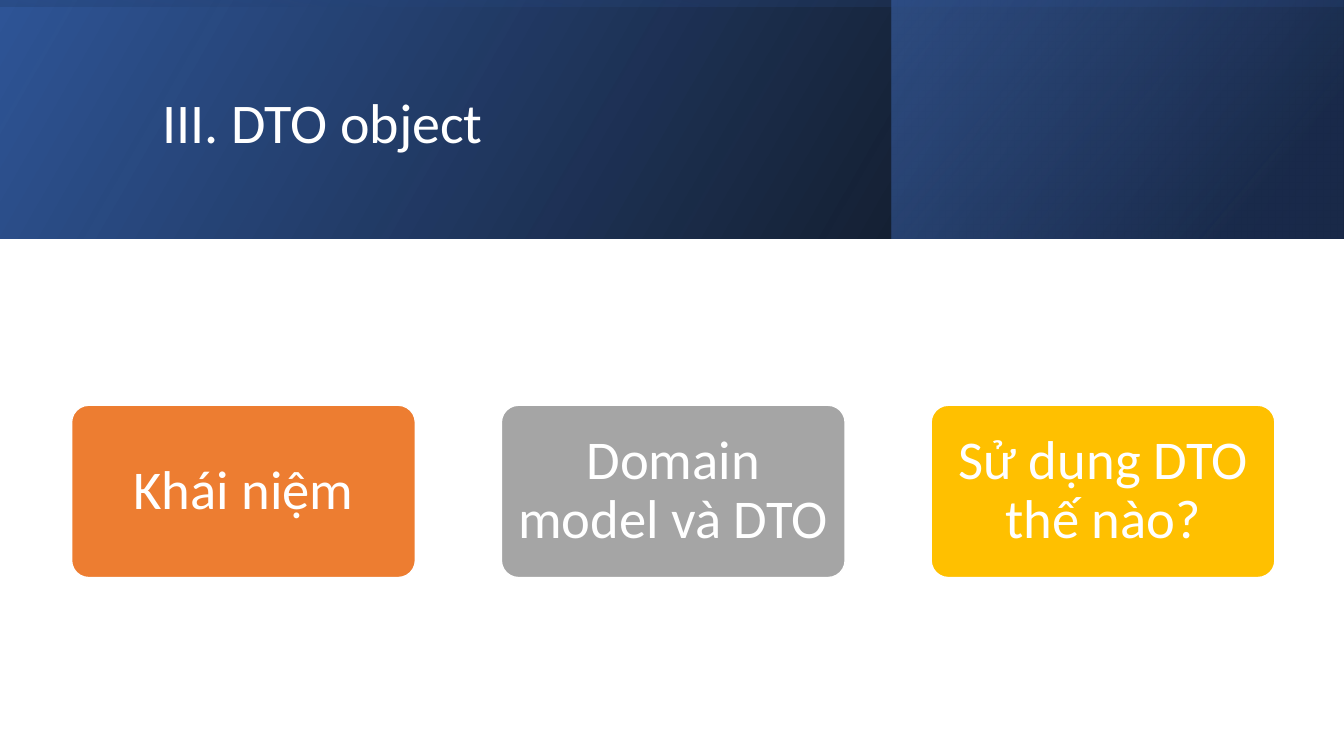
from lxml import etree
from pptx import Presentation
from pptx.dml.color import RGBColor
from pptx.enum import shapes, text
from pptx.oxml import ns
from pptx.util import Inches, Pt

FONT = "Calibri"
WHITE = "FFFFFF"
SLIDE_W, SLIDE_H = 13.33, 7.5
BAND_H = 2.37

TITLE = "III. DTO object"
TOPICS = [
    ("Khái niệm", "ED7D31"),
    ("Domain model và DTO", "A5A5A5"),
    ("Sử dụng DTO thế nào?", "FFC000"),
]
# left, top, width, height, rotation, clockwise gradient angle,
# stops as (position %, colour, opacity %)
BANDS = [
    (0, 0, SLIDE_W, BAND_H, 0, 330,
     [(0, "000000", 96), (100, "2F5597", 100)]),
    (8.84, 0, 4.48, BAND_H, 0, 320,
     [(19, "203864", 68), (100, "4472C4", 48)]),
    ((SLIDE_W - BAND_H) / 2, (BAND_H - SLIDE_W) / 2, BAND_H, SLIDE_W, 270, 350,
     [(23, "2F5597", 16), (99, "000000", 45)]),
]
CARD_LEFT, CARD_TOP, CARD_W, CARD_H = 0.71, 4.02, 3.41, 1.71
CARD_STEP = CARD_W * 1.25


def rgb(hex_colour):
    return RGBColor.from_string(hex_colour)


def write(shape, words, size, align, inset_x, inset_y):
    frame = shape.text_frame
    frame.word_wrap = True
    frame.vertical_anchor = text.MSO_ANCHOR.MIDDLE
    frame.margin_left = frame.margin_right = Inches(inset_x)
    frame.margin_top = frame.margin_bottom = Inches(inset_y)
    line = frame.paragraphs[0]
    line.alignment = align
    line.line_spacing = 0.9
    run = line.add_run()
    run.text = words
    run.font.name = FONT
    run.font.size = Pt(size)
    run.font.color.rgb = rgb(WHITE)


def add_band(slide, left, top, width, height, rotation, angle, stops):
    band = slide.shapes.add_shape(
        shapes.MSO_SHAPE.RECTANGLE,
        Inches(left), Inches(top), Inches(width), Inches(height))
    band.shadow.inherit = False
    band.line.fill.background()
    band.rotation = rotation
    band._element.spPr.find(ns.qn("a:xfrm")).set("flipH", "1")
    band.fill.gradient()
    band.fill.gradient_angle = 360 - angle
    for stop, (position, colour, _) in zip(band.fill.gradient_stops, stops):
        stop.position = position / 100
        stop.color.rgb = rgb(colour)
    # Opacity of each gradient stop
    colours = band._element.spPr.findall(".//" + ns.qn("a:gs") + "/" + ns.qn("a:srgbClr"))
    for colour, (_, _, opacity) in zip(colours, stops):
        if opacity < 100:
            etree.SubElement(colour, ns.qn("a:alpha")).set("val", str(opacity * 1000))


def add_card(slide, index, topic, colour):
    card = slide.shapes.add_shape(
        shapes.MSO_SHAPE.ROUNDED_RECTANGLE,
        Inches(CARD_LEFT + index * CARD_STEP), Inches(CARD_TOP),
        Inches(CARD_W), Inches(CARD_H))
    card.shadow.inherit = False
    card.adjustments[0] = 0.1
    card.fill.solid()
    card.fill.fore_color.rgb = rgb(colour)
    card.line.color.rgb = rgb(WHITE)
    card.line.width = Pt(1)
    write(card, topic, 39, text.PP_ALIGN.CENTER, 0.11, 0.08)


def main():
    deck = Presentation()
    deck.slide_width, deck.slide_height = Inches(SLIDE_W), Inches(SLIDE_H)
    slide = deck.slides.add_slide(deck.slide_layouts[6])

    # Header
    for band in BANDS:
        add_band(slide, *band)
    title = slide.shapes.add_textbox(Inches(1.51), Inches(0.38), Inches(10.63), Inches(1.72))
    write(title, TITLE, 40, text.PP_ALIGN.LEFT, 0.1, 0.05)

    # Topic cards
    for index, (topic, colour) in enumerate(TOPICS):
        add_card(slide, index, topic, colour)

    deck.save("out.pptx")


if __name__ == "__main__":
    main()
